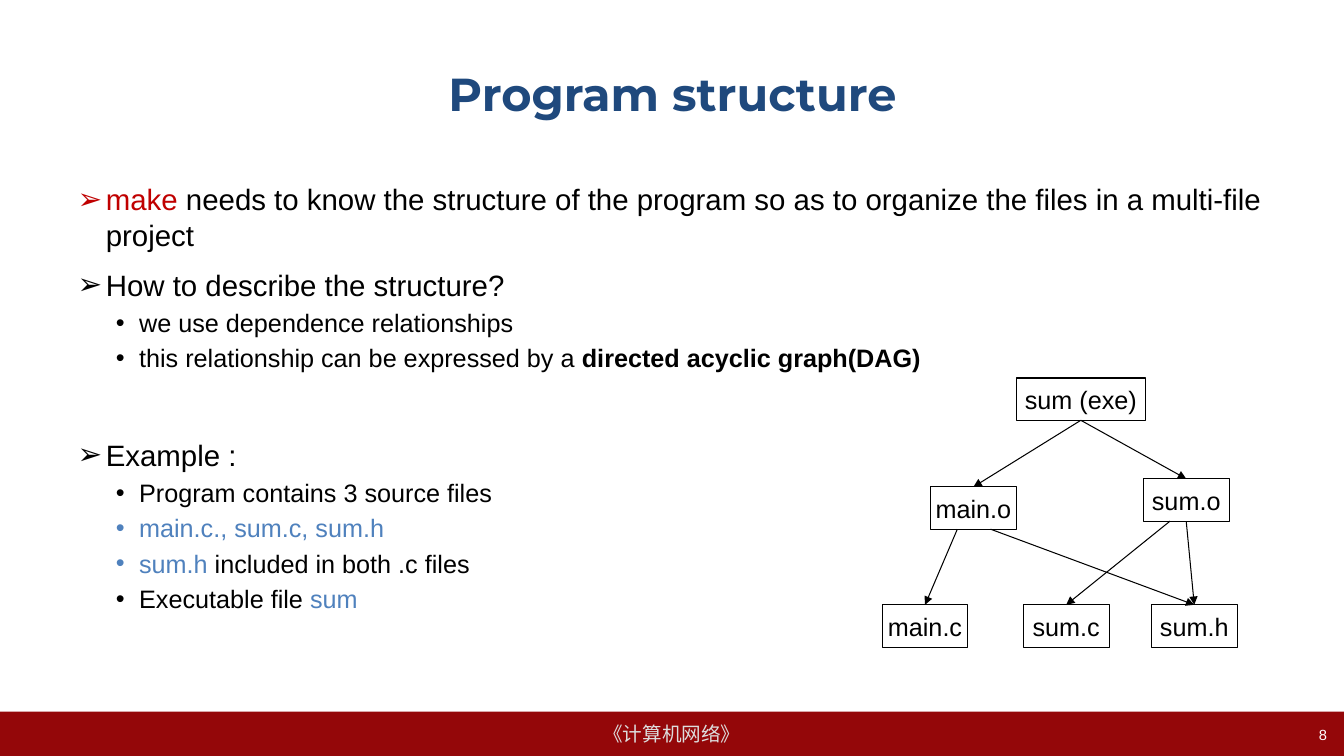
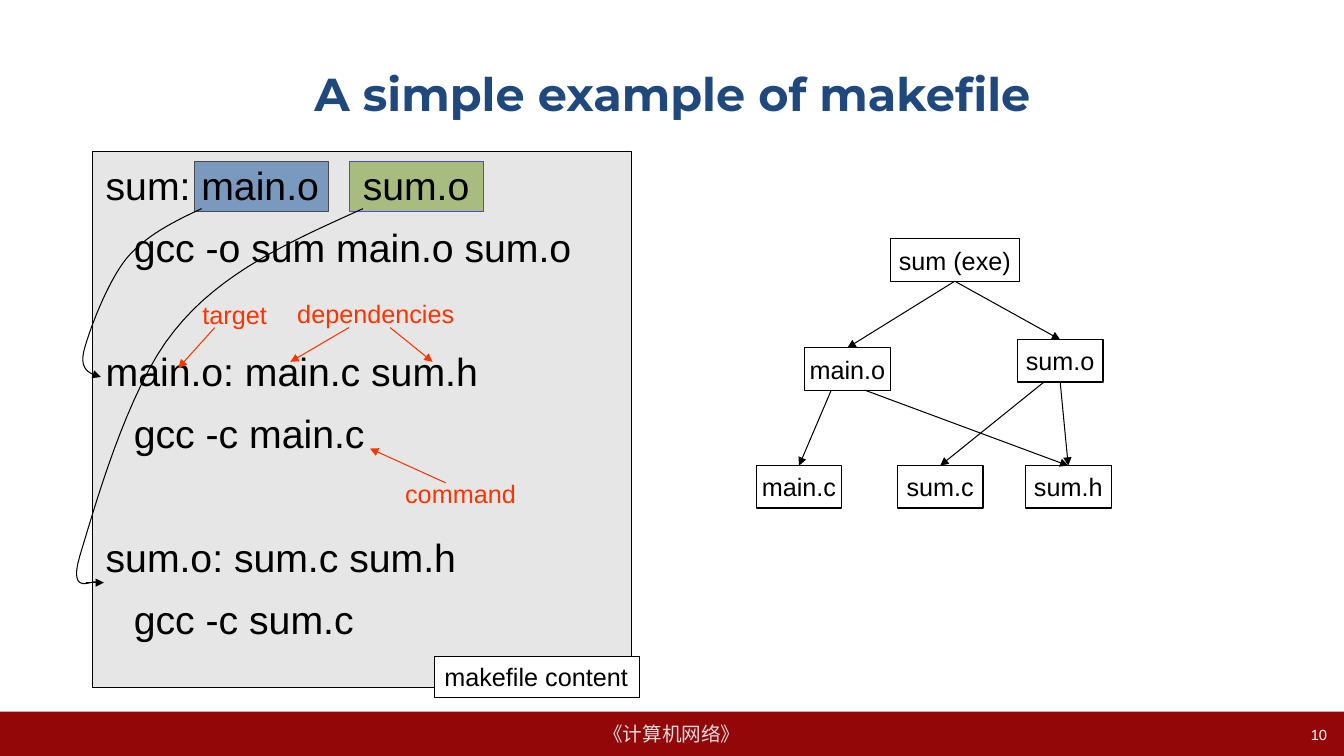
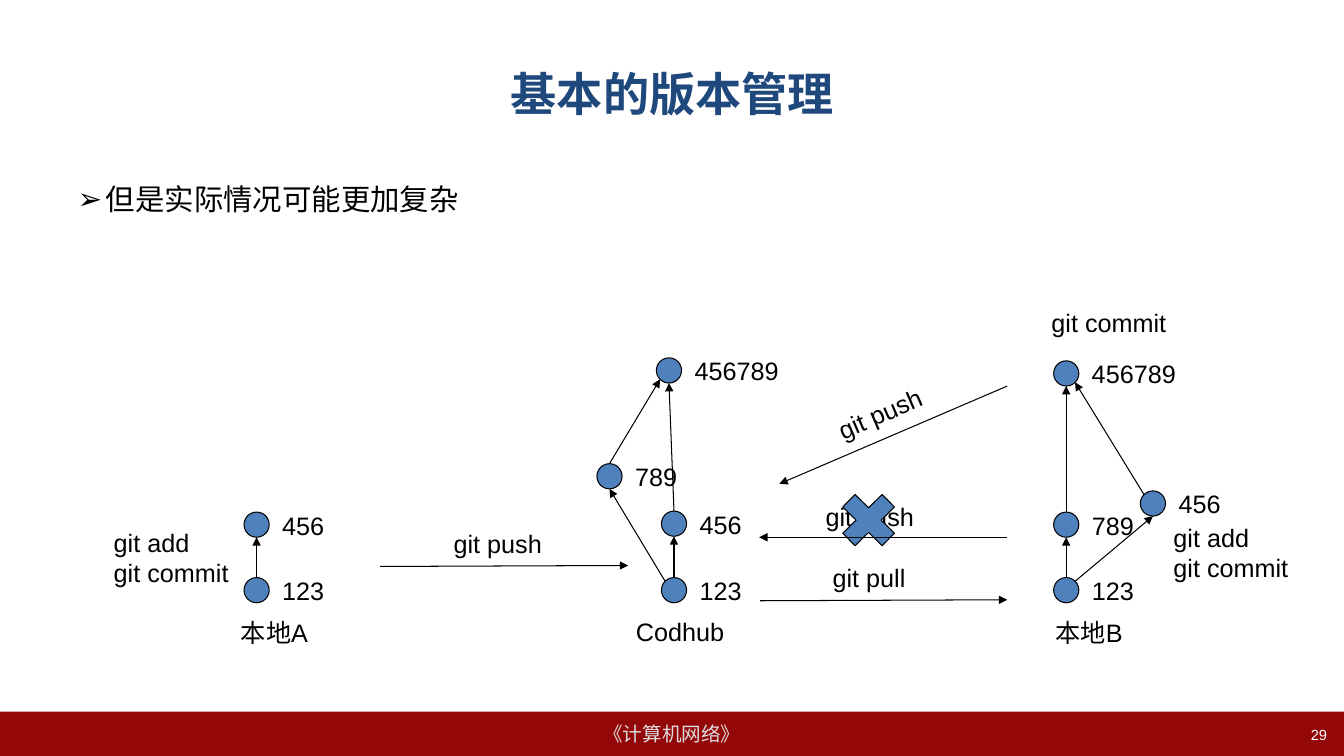
from pptx import Presentation
from pptx.dml.color import RGBColor
from pptx.enum.shapes import MSO_CONNECTOR, MSO_SHAPE
from pptx.enum.text import MSO_ANCHOR, MSO_AUTO_SIZE, PP_ALIGN
from pptx.oxml.ns import qn
from pptx.util import Pt
from lxml.etree import SubElement

PX = 9144  # EMU per px, 100 px to the inch
WIDTH, HEIGHT = 1333, 750

BLACK = RGBColor(0, 0, 0)
WHITE = RGBColor(255, 255, 255)
NAVY = RGBColor(0x1F, 0x49, 0x7D)
BLUE = RGBColor(0x4F, 0x81, 0xBD)
PURE_BLUE = RGBColor(0, 0, 255)
GREEN = RGBColor(0x9B, 0xBB, 0x59)
GRAY = RGBColor(0xC0, 0xC0, 0xC0)
PALE = RGBColor(0xDD, 0xDD, 0xDD)
RED = RGBColor(0xC0, 0, 0)
ORANGE = RGBColor(0xFF, 0x33, 0)
MAROON = RGBColor(0x94, 0x07, 0x09)

FONT = {"name": "Arial", "size": Pt(18), "bold": False}
TITLE_FONT = {"name": "Montserrat", "size": Pt(33), "bold": True, "color": NAVY}
FOOTER_FONT = {"size": Pt(14), "color": PALE}
PAGE_FONT = {"size": Pt(10.5), "color": WHITE}
CODE_FONT = {"size": Pt(28)}

BAND = (0, 706, WIDTH, 44)
TITLE_BOX = (67, 30, 1200, 125)
BODY_BOX = (67, 175, 1200, 495)
PAGE_BOX = (1015, 715, 311, 35)
FOOTER = "《计算机网络》"

# level: bullet, left margin, hanging indent, size, space before
LEVELS = [("➢", 28, 28, Pt(21), Pt(10.6)), ("•", 61, 23, Pt(18), Pt(3.6))]
SECTION_GAP = Pt(46)

# level, runs, own space before
STRUCTURE = [
    (0, [("make", {"color": RED}),
         (" needs to know the structure of the program so as to organize "
          "the files in a multi-file project", {})], None),
    (0, [("How to describe the structure?", {})], None),
    (1, [("we use dependence relationships", {})], None),
    (1, [("this relationship can be expressed by a ", {}),
         ("directed acyclic graph(DAG)", {"bold": True})], None),
    (0, [("Example :", {})], SECTION_GAP),
    (1, [("Program contains 3 source files", {})], None),
    (1, [("main.c., sum.c, sum.h", {"color": BLUE})], None),
    (1, [("sum.h", {"color": BLUE}), (" included in both .c files", {})], None),
    (1, [("Executable file ", {}), ("sum", {"color": BLUE})], None),
]
COMPLEXITY = [(0, [("但是实际情况可能更加复杂", {})], None)]

# Dependency graph, relative to its top left corner: left, top, width
FILE_HEIGHT = 42
FILES = {
    "sum (exe)": (133, 0, 128),
    "sum.o": (259, 100, 85),
    "main.o": (48, 108, 85),
    "sum.c": (140, 225, 85),
    "sum.h": (267, 225, 85),
    "main.c": (0, 225, 85),
}
# target, dependency, start offset from the middle of the target
DEPENDENCIES = [
    ("main.o", "main.c", -16), ("sum (exe)", "main.o", 0),
    ("sum (exe)", "sum.o", 0), ("main.o", "sum.h", 17),
    ("sum.o", "sum.c", -16), ("sum.o", "sum.h", 0),
]

# Makefile rules: first line, command
RULES = [("sum: main.o\tsum.o", "gcc -o sum main.o sum.o"),
         ("main.o: main.c sum.h", "gcc -c main.c"),
         ("sum.o: sum.c sum.h", "gcc -c sum.c")]
CODE_BOX = (95, 160, 517, 524)
CODE_INDENT, CODE_TAB = 28, 255
CODE_SPACE, RULE_SPACE = Pt(14.3), Pt(58.1)
CODE_NOTES = [("target", (191, 292, 90, 40)),
              ("dependencies", (285, 291, 183, 40)),
              ("command", (392, 470, 139, 40))]
NOTE_ARROWS = [((213, 325), (177, 365)), ((346, 325), (288, 359)),
               ((387, 325), (429, 359)), ((442, 479), (367, 445))]
MAIN_CURVE = [(200, 207), (172, 220), (144, 234), (125, 257),
              (106, 281), (88, 329), (83, 349), (79, 368), (90, 371), (100, 374)]
SUM_CURVE = [(360, 207), (289, 239), (219, 270), (173, 328),
             (126, 385), (92, 510), (79, 552), (67, 594), (94, 573), (96, 578)]
SUM_ARROW = ((85, 578), (103, 578))

# Commits: left, top, label
DOT = 25
COMMITS = {
    "a1": (242, 573, "123"), "a2": (242, 508, "456"),
    "hub1": (656, 573, "123"), "hub2": (656, 507, "456"),
    "hub3": (592, 460, "789"), "hub4": (651, 355, "456789"),
    "b1": (1045, 573, "123"), "b2": (1045, 508, "789"),
    "b3": (1131, 487, "456"), "b4": (1045, 358, "456789"),
}
SIDES = {"top": (0, -1), "bottom": (0, 1), "top left": (-0.7, -0.7),
         "top right": (0.7, -0.7), "bottom left": (-0.7, 0.7),
         "bottom right": (0.7, 0.7)}
HISTORY = [
    ("a1", "top", "a2", "bottom"), ("hub1", "top", "hub2", "bottom"),
    ("hub1", "top left", "hub3", "bottom"), ("hub3", "top", "hub4", "bottom left"),
    ("hub2", "top", "hub4", "bottom"), ("b1", "top", "b2", "bottom"),
    ("b1", "top right", "b3", "bottom"), ("b2", "top", "b4", "bottom"),
    ("b3", "top left", "b4", "bottom right"),
]
TRANSFERS = [((377, 562), (623, 561)), ((754, 596), (999, 595)),
             ((999, 533), (753, 533)), ((999, 383), (773, 480))]
# text, box, rotation
GIT_LABELS = [
    ("本地A", (229, 608, 88, 40), 0),
    ("Codhub", (621, 607, 130, 40), 0),
    ("本地B", (1037, 608, 88, 40), 0),
    ("git push", (440, 519, 109, 40), 0),
    ("git add\ngit commit", (103, 518, 137, 71), 0),
    ("git pull", (816, 553, 93, 40), 0),
    ("git add\ngit commit", (1154, 513, 137, 71), 0),
    ("git push", (809, 492, 109, 40), 0),
    ("git push", (819, 390, 109, 40), 336.7),
    ("git commit", (1033, 300, 137, 40), 0),
]
REJECTED = (824, 479, 75, 74)


def emu(lengths):
    return [round(length * PX) for length in lengths]


def set_all(target, values):
    for name, value in values.items():
        setattr(target, name, value)


def write(paragraph, text, color=BLACK, **font):
    run = paragraph.add_run()
    run.text = text
    set_all(run.font, {**FONT, **font})
    run.font.color.rgb = color


def write_lines(frame, text, align, font):
    for index, line in enumerate(text.split("\n")):
        paragraph = frame.add_paragraph() if index else frame.paragraphs[0]
        paragraph.alignment = align
        write(paragraph, line, **font)


def add_label(slide, text, box, align=PP_ALIGN.LEFT, rotation=0, **font):
    label = slide.shapes.add_textbox(*emu(box))
    label.rotation = rotation
    label.text_frame.word_wrap = True
    write_lines(label.text_frame, text, align, font)


def add_box(slide, box, fill, line=BLACK, text="", kind=MSO_SHAPE.RECTANGLE,
            align=PP_ALIGN.CENTER, **font):
    shape = slide.shapes.add_shape(kind, *emu(box))
    shape.shadow.inherit = False
    shape.fill.solid()
    shape.fill.fore_color.rgb = fill
    if line is None:
        shape.line.fill.background()
    else:
        style_line(shape, line)
    if text:
        set_all(shape.text_frame, {"word_wrap": False,
                                   "vertical_anchor": MSO_ANCHOR.MIDDLE})
        write_lines(shape.text_frame, text, align, font)
    return shape


def style_line(shape, color, arrow=False):
    shape.line.color.rgb = color
    shape.line.width = Pt(0.75)
    if arrow:
        line = shape.element.spPr.get_or_add_ln()
        SubElement(line, qn("a:tailEnd"), type="triangle")


def add_arrow(slide, start, end, color=BLACK):
    arrow = slide.shapes.add_connector(MSO_CONNECTOR.STRAIGHT, *emu(start + end))
    style_line(arrow, color, arrow=True)
    SubElement(arrow.element.spPr, qn("a:effectLst"))
    return arrow


def add_curve(slide, points, arrow=False, steps=16):
    """Draw a chain of cubic Bézier segments that share their end points."""
    samples = []
    for first in range(0, len(points) - 1, 3):
        a, b, c, d = points[first:first + 4]
        for step in range(1, steps + 1):
            t = step / steps
            u = 1 - t
            weights = (u ** 3, 3 * u * u * t, 3 * u * t * t, t ** 3)
            samples.append(emu(sum(w * v for w, v in zip(weights, axis))
                               for axis in zip(a, b, c, d)))
    builder = slide.shapes.build_freeform(*emu(points[0]), scale=1.0)
    builder.add_line_segments(samples, close=False)
    curve = builder.convert_to_shape()
    curve.shadow.inherit = False
    curve.fill.background()
    style_line(curve, BLACK, arrow)


def place(placeholder, box, anchor):
    set_all(placeholder, dict(zip(("left", "top", "width", "height"), emu(box))))
    frame = placeholder.text_frame
    set_all(frame, {"word_wrap": True, "vertical_anchor": anchor,
                    "auto_size": MSO_AUTO_SIZE.NONE})
    return frame


def fill_body(slide, items):
    frame = place(slide.placeholders[1], BODY_BOX, MSO_ANCHOR.TOP)
    for index, (level, runs, own_space) in enumerate(items):
        bullet, margin, hanging, size, space = LEVELS[level]
        paragraph = frame.add_paragraph() if index else frame.paragraphs[0]
        paragraph.level = level
        paragraph.space_before = own_space or space
        properties = paragraph._p.get_or_add_pPr()
        properties.set("marL", str(margin * PX))
        properties.set("indent", str(-hanging * PX))
        SubElement(properties, qn("a:buChar"), char=bullet)
        for text, font in runs:
            write(paragraph, text, size=size, **font)


def add_slide(presentation, layout_index, title, page):
    slide = presentation.slides.add_slide(presentation.slide_layouts[layout_index])
    frame = place(slide.shapes.title, TITLE_BOX, MSO_ANCHOR.MIDDLE)
    write_lines(frame, title, PP_ALIGN.CENTER, TITLE_FONT)
    add_label(slide, str(page), PAGE_BOX, PP_ALIGN.RIGHT, **PAGE_FONT)
    return slide


def move_band_to_master(presentation, slide):
    band = add_box(slide, BAND, MAROON, None, FOOTER, **FOOTER_FONT)
    presentation.slide_master.shapes.element.append(band.element)


def add_graph(slide, left, top):
    boxes = {name: add_box(slide, (left + x, top + y, width, FILE_HEIGHT), WHITE,
                           text=name)
             for name, (x, y, width) in FILES.items()}
    for target, dependency, offset in DEPENDENCIES:
        x, y, width = FILES[target]
        start = (left + x + width / 2 + offset, top + y + FILE_HEIGHT)
        arrow = add_arrow(slide, start, start)
        if offset == 0:
            arrow.begin_connect(boxes[target], 2)
        arrow.end_connect(boxes[dependency], 0)


def add_code(slide):
    frame = slide.shapes.add_textbox(*emu(CODE_BOX)).text_frame
    frame.word_wrap = True
    lines = [(line, indent, space) for rule in RULES
             for line, indent, space in zip(rule, (0, CODE_INDENT),
                                            (RULE_SPACE, CODE_SPACE))]
    for index, (line, indent, space) in enumerate(lines):
        paragraph = frame.add_paragraph() if index else frame.paragraphs[0]
        paragraph.line_spacing = 0.9
        if index:
            paragraph.space_before = space
        properties = paragraph._p.get_or_add_pPr()
        properties.set("marL", str(indent * PX))
        if "\t" in line:
            tabs = SubElement(properties, qn("a:tabLst"))
            SubElement(tabs, qn("a:tab"), pos=str(CODE_TAB * PX), algn="l")
        write(paragraph, line, **CODE_FONT)


def build_makefile(slide):
    add_box(slide, (347, 160, 133, 50), GREEN, PURE_BLUE)
    add_box(slide, (193, 160, 133, 50), BLUE)
    panel = add_box(slide, (92, 150, 534, 532), GRAY)
    color = panel.element.spPr.find(qn("a:solidFill"))[0]
    SubElement(color, qn("a:alpha"), val="39000")
    add_code(slide)
    add_box(slide, (431, 651, 203, 41), WHITE, text="makefile content",
            align=PP_ALIGN.LEFT)
    for text, box in CODE_NOTES:
        add_label(slide, text, box, color=ORANGE)
    for start, end in NOTE_ARROWS:
        add_arrow(slide, start, end, ORANGE)
    add_curve(slide, MAIN_CURVE, arrow=True)
    add_curve(slide, SUM_CURVE)
    add_arrow(slide, *SUM_ARROW)


def dot_point(commit, side):
    x, y, _ = COMMITS[commit]
    dx, dy = SIDES[side]
    return (x + DOT / 2 * (1 + dx), y + DOT / 2 * (1 + dy))


def build_history(slide):
    for text, box, rotation in GIT_LABELS:
        add_label(slide, text, box, rotation=rotation)
    add_box(slide, REJECTED, BLUE, kind=MSO_SHAPE.MATH_MULTIPLY)
    for x, y, name in COMMITS.values():
        add_box(slide, (x, y, DOT, DOT), BLUE, kind=MSO_SHAPE.OVAL)
        add_label(slide, name, (x + 28, y - 7, 65 if len(name) == 3 else 110, 40))
    for parent, leaving, child, entering in HISTORY:
        add_arrow(slide, dot_point(parent, leaving), dot_point(child, entering))
    for start, end in TRANSFERS:
        add_arrow(slide, start, end)


def main():
    presentation = Presentation()
    presentation.slide_width, presentation.slide_height = emu((WIDTH, HEIGHT))

    structure = add_slide(presentation, 1, "Program structure", 8)
    move_band_to_master(presentation, structure)
    fill_body(structure, STRUCTURE)
    add_graph(structure, 875, 375)

    makefile = add_slide(presentation, 5, "A simple example of makefile", 10)
    build_makefile(makefile)
    add_graph(makefile, 750, 237)

    history = add_slide(presentation, 1, "基本的版本管理", 29)
    fill_body(history, COMPLEXITY)
    build_history(history)

    presentation.save("out.pptx")


if __name__ == "__main__":
    main()
